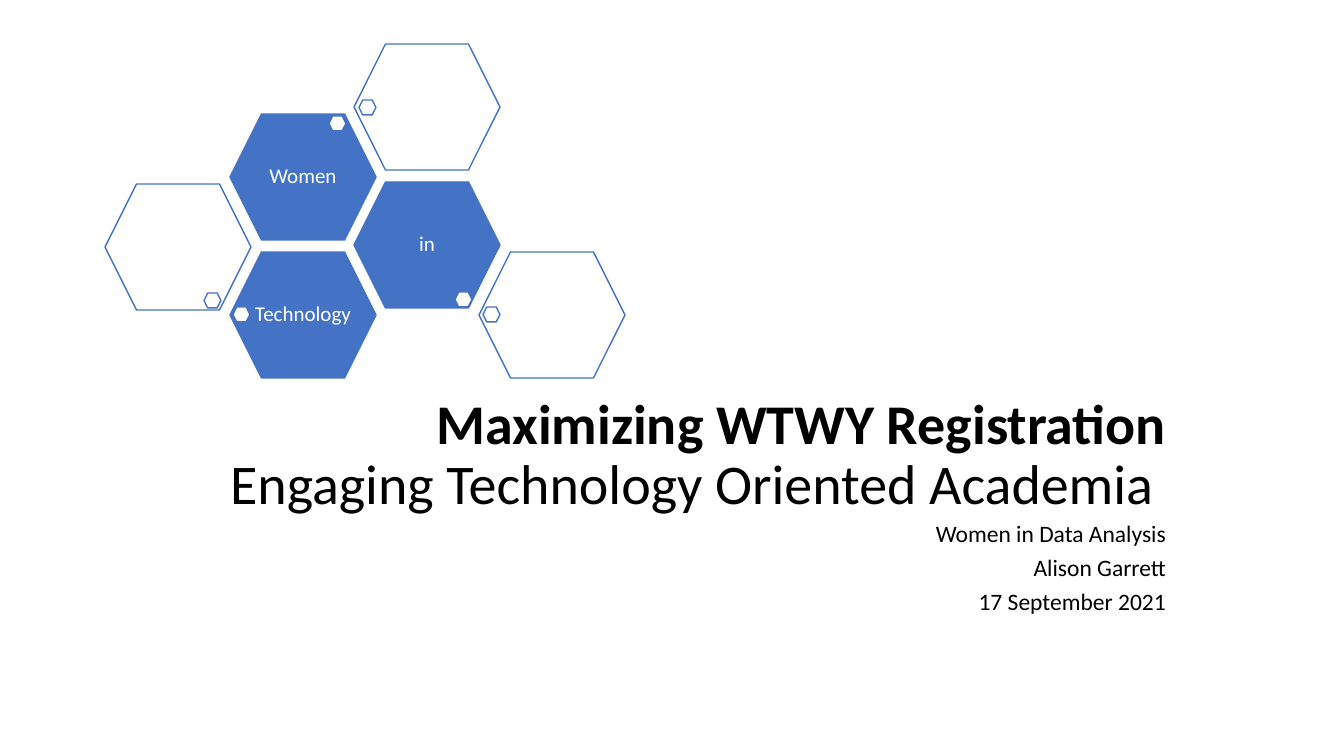
from pptx import Presentation
from pptx.dml.color import RGBColor
from pptx.enum.shapes import MSO_SHAPE
from pptx.enum.text import MSO_ANCHOR, MSO_AUTO_SIZE, PP_ALIGN
from pptx.util import Pt

SCALE = 914400 / 100.8
BLUE = RGBColor(0x44, 0x72, 0xC4)
WHITE = RGBColor(0xFF, 0xFF, 0xFF)
BLACK = RGBColor(0, 0, 0)


def px(n):
    return round(n * SCALE)


def add_hex(x, y, w, h, fill):
    cell = slide.shapes.add_shape(MSO_SHAPE.HEXAGON, px(x), px(y), px(w), px(h))
    cell.adjustments[0] = 0.25
    cell.shadow.inherit = False
    cell.fill.solid()
    cell.fill.fore_color.rgb = fill
    cell.line.color.rgb = BLUE
    cell.line.width = Pt(1)
    return cell


deck = Presentation()
deck.slide_width, deck.slide_height = px(1344), px(756)
slide = deck.slides.add_slide(deck.slide_layouts[0])
title, subtitle = slide.placeholders

# Title and subtitle
title.text_frame.text = "Maximizing WTWY Registration\vEngaging Technology Oriented Academia "
subtitle.text_frame.text = "Women in Data Analysis\nAlison Garrett\n17 September 2021"
for holder, top, height, anchor, size, spacing, before in [
    (title, 344, 178, MSO_ANCHOR.BOTTOM, 40, 0.9, 0),
    (subtitle, 522, 105, MSO_ANCHOR.TOP, 16.8, 0.7, 10),
]:
    holder.left, holder.top = px(168), px(top)
    holder.width, holder.height = px(1008), px(height)
    frame = holder.text_frame
    frame.word_wrap = True
    frame.auto_size = MSO_AUTO_SIZE.NONE
    frame.vertical_anchor = anchor
    for para in frame.paragraphs:
        para.alignment = PP_ALIGN.RIGHT
        para.line_spacing = spacing
        para.space_before = Pt(before)
        para.font.name = "Calibri"
        para.font.size = Pt(size)
        para.font.color.rgb = BLACK
first, second = title.text_frame.paragraphs[0].runs
first.font.bold, second.font.bold = True, False

# Honeycomb: word, cell corner, dot corner
for word, x, y, dot_x, dot_y in [
    ("Technology", 230, 252, 233, 307),
    ("", 105, 184, 204, 293),
    ("in", 354, 182, 455, 292),
    ("", 479, 252, 483, 307),
    ("Women", 230, 114, 329, 116),
    ("", 354, 44, 359, 100),
]:
    cell = add_hex(x, y, 146, 126, BLUE if word else WHITE)
    add_hex(dot_x, dot_y, 17, 15, WHITE)
    if word:
        frame = cell.text_frame
        frame.text = word
        frame.word_wrap = False
        frame.vertical_anchor = MSO_ANCHOR.MIDDLE
        frame.margin_left = frame.margin_right = 0
        frame.margin_top = frame.margin_bottom = px(2)
        para = frame.paragraphs[0]
        para.alignment = PP_ALIGN.CENTER
        para.line_spacing = 0.9
        para.font.name = "Calibri"
        para.font.size = Pt(15)
        para.font.color.rgb = WHITE

deck.save("out.pptx")
